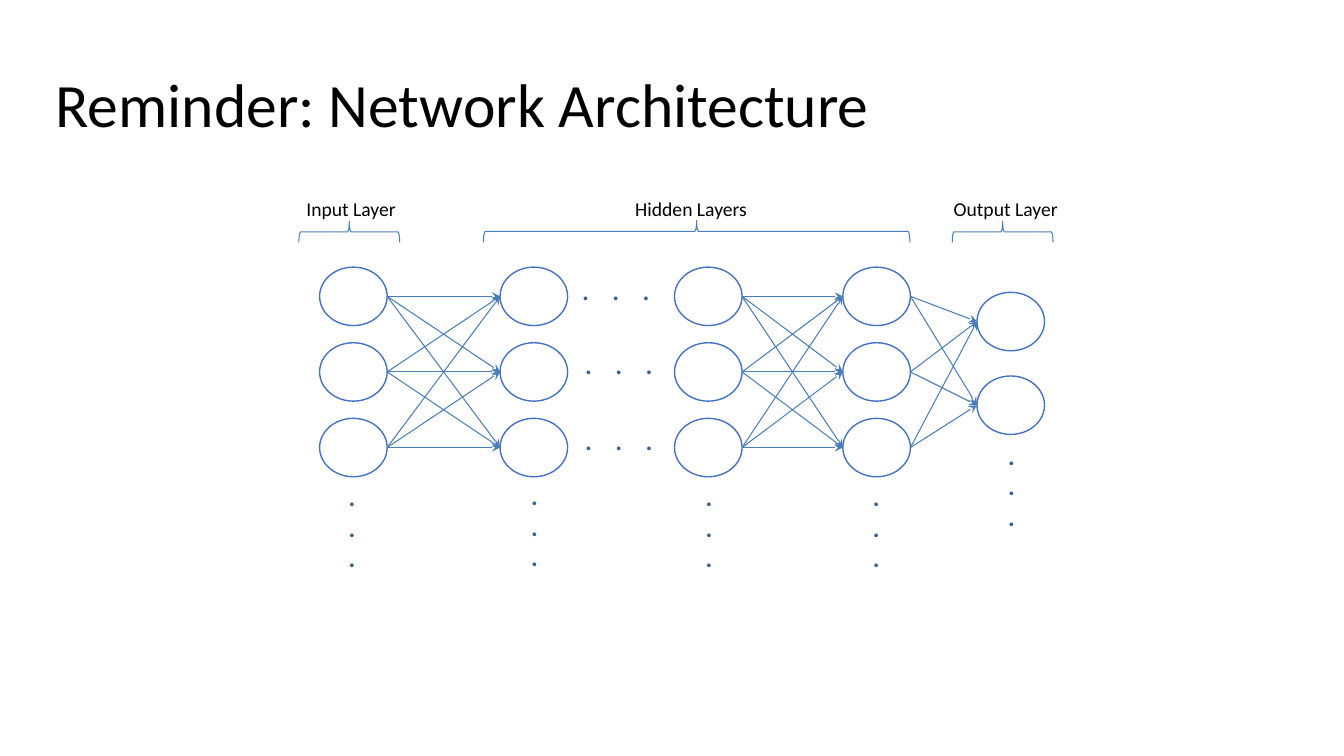
from itertools import product

from lxml.etree import SubElement
from pptx import Presentation
from pptx.dml.color import RGBColor
from pptx.enum.shapes import MSO_CONNECTOR, MSO_SHAPE
from pptx.enum.text import MSO_ANCHOR, MSO_AUTO_SIZE, PP_ALIGN
from pptx.oxml.ns import qn
from pptx.util import Inches, Pt

# Content
TITLE = "Reminder: Network Architecture"
HIDDEN_TOPS = [2.65, 3.4, 4.15]
OUTPUT_TOPS = [2.9, 3.73]
# Layers: left edge, node tops, left and top of the dots below
LAYERS = [
    (3.17, HIDDEN_TOPS, 3.36, 4.73),
    (4.96, HIDDEN_TOPS, 5.17, 4.72),
    (6.69, HIDDEN_TOPS, 6.9, 4.73),
    (8.36, HIDDEN_TOPS, 8.56, 4.73),
    (9.69, OUTPUT_TOPS, 9.9, 4.32),
]
LINKED = [(0, 1), (2, 3), (3, 4)]
ROW_DOTS = [(6.06, 2.46), (6.09, 3.2), (6.09, 3.95)]
# Labels: text, box (left, top, width, height), alignment
LABELS = [
    ("Input Layer", (2.94, 1.9, 1.27, 0.56), PP_ALIGN.LEFT),
    ("Hidden Layers", (4.69, 1.9, 4.33, 0.33), PP_ALIGN.CENTER),
    ("Output Layer", (9.36, 1.9, 1.27, 0.56), PP_ALIGN.LEFT),
]
# Braces before the quarter turn: left, top, width, height
BRACES = [(3.36, 1.8, 0.21, 1), (6.8, 0.18, 0.22, 4.23), (9.84, 1.8, 0.21, 1)]

NODE_W, NODE_H = 0.67, 0.58
BLACK, WHITE = "000000", "FFFFFF"
NODE_LINE, LINK_LINE, DOT = "4472C4", "4A7EBB", "376092"

prs = Presentation()
prs.slide_width, prs.slide_height = Inches(13.33), Inches(7.5)
s = prs.slides.add_slide(prs.slide_layouts[5])


def color(value):
    return RGBColor.from_string(value)


def place(sp, box):
    sp.left, sp.top, sp.width, sp.height = map(Inches, box)


def style_line(sp, value, width):
    sp.line.color.rgb = color(value)
    sp.line.width = Pt(width)


def write(tf, text, size, value, bold=False, align=PP_ALIGN.LEFT):
    tf.word_wrap = True
    tf.auto_size = MSO_AUTO_SIZE.NONE
    tf.text = text
    for p in tf.paragraphs:
        p.alignment = align
        for r in p.runs:
            r.font.name, r.font.size, r.font.bold = "Calibri", Pt(size), bold
            r.font.color.rgb = color(value)


def add_text(box, *style, **options):
    sp = s.shapes.add_textbox(*map(Inches, box))
    write(sp.text_frame, *style, **options)
    return sp


def add_dots(left, top, width=0.29):
    return add_text((left, top, width, 1), ".\n.\n.", 18, DOT, bold=True)


def add_node(left, top):
    sp = s.shapes.add_shape(MSO_SHAPE.OVAL, *map(Inches, (left, top, NODE_W, NODE_H)))
    sp.shadow.inherit = False
    sp.fill.solid()
    sp.fill.fore_color.rgb = color(WHITE)
    style_line(sp, NODE_LINE, 1)


def add_arrow(*ends):
    sp = s.shapes.add_connector(MSO_CONNECTOR.STRAIGHT, *map(Inches, ends))
    style_line(sp, LINK_LINE, 0.75)
    SubElement(sp.line._get_or_add_ln(), qn("a:tailEnd"), type="stealth")
    SubElement(sp._element.spPr, qn("a:effectLst"))


# Title
title = s.shapes.title
place(title, (0.45, 0.65, 12.42, 0.83))
write(title.text_frame, TITLE, 44, BLACK)
title.text_frame.vertical_anchor = MSO_ANCHOR.MIDDLE
title.text_frame.paragraphs[0].line_spacing = 0.9

# Nodes, with dots below each layer
for left, tops, dots_left, dots_top in LAYERS:
    for top in tops:
        add_node(left, top)
    add_dots(dots_left, dots_top)

# Arrows from every node to every node of the next layer
for a, b in LINKED:
    (left, tops, *_), (next_left, next_tops, *_) = LAYERS[a], LAYERS[b]
    for top, next_top in product(tops, next_tops):
        add_arrow(left + NODE_W, top + NODE_H / 2, next_left, next_top + NODE_H / 2)

# Dots between the hidden layers
for left, top in ROW_DOTS:
    add_dots(left, top, 0.26).rotation = 90

# Braces and layer labels
for box in BRACES:
    sp = s.shapes.add_shape(MSO_SHAPE.RIGHT_BRACE, *map(Inches, box))
    sp.shadow.inherit = False
    sp.fill.background()
    style_line(sp, LINK_LINE, 0.75)
    sp.rotation = 90
    sp._element.spPr.xfrm.set("flipH", "1")
for text, box, align in LABELS:
    add_text(box, text, 14, BLACK, align=align)

prs.save("out.pptx")
